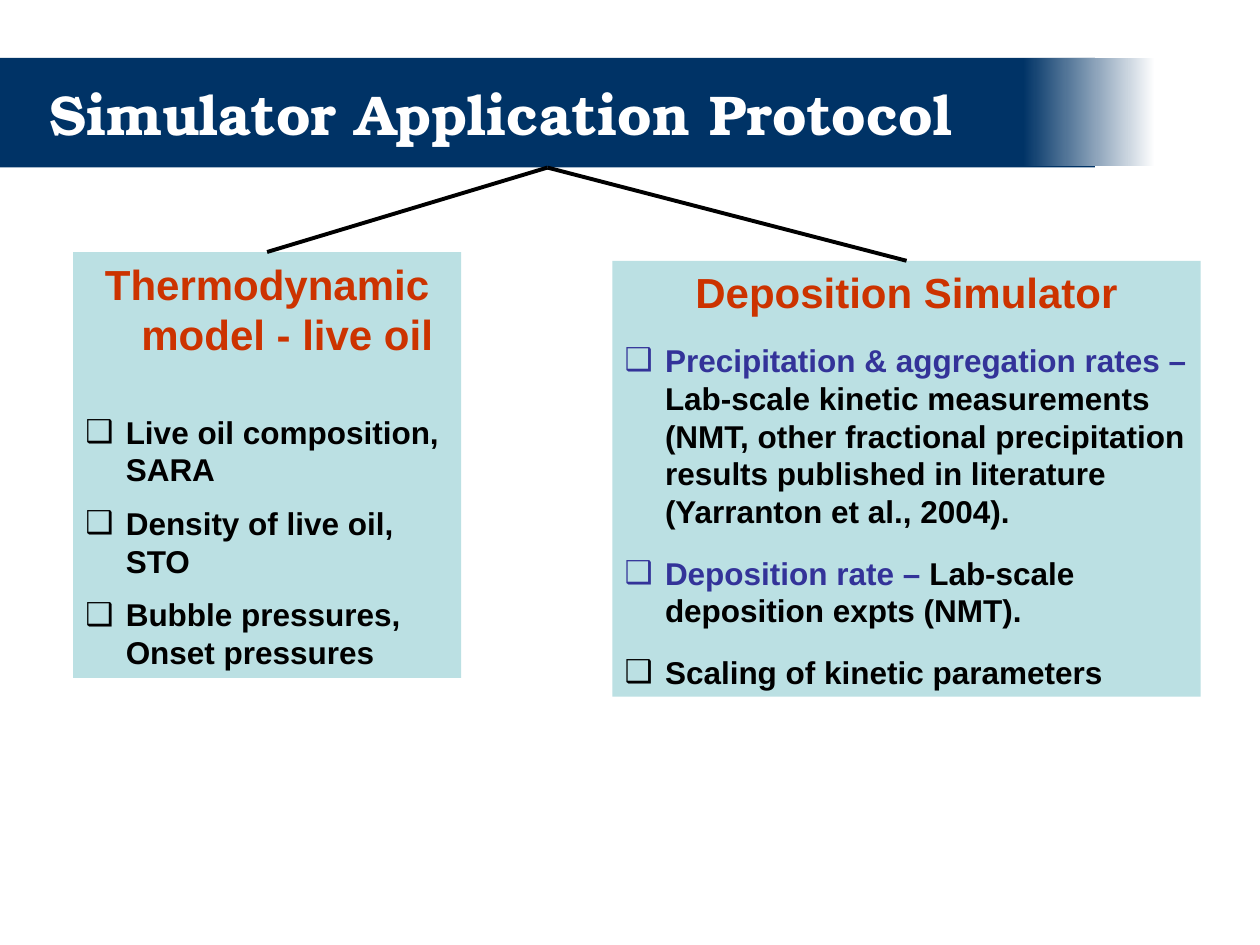
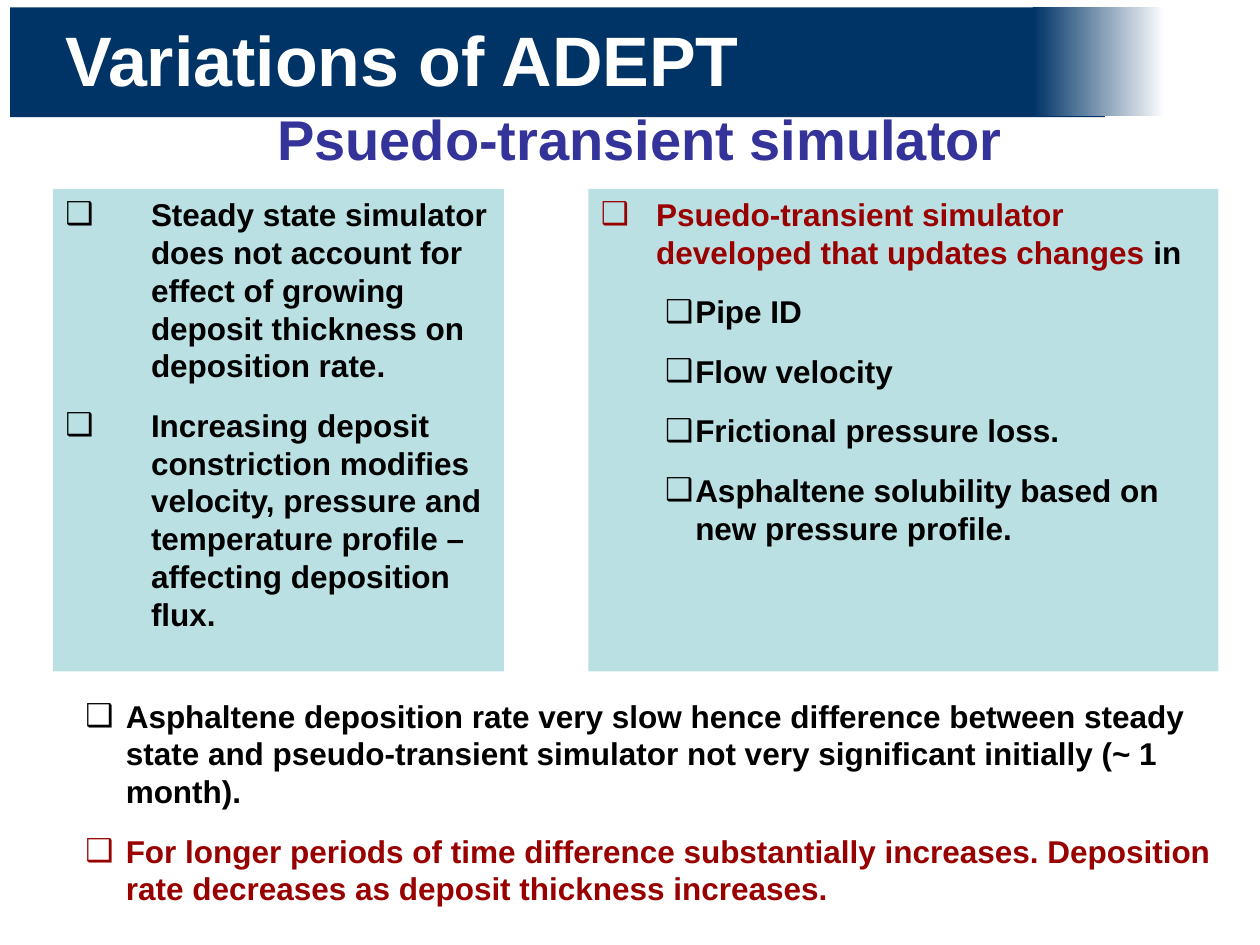
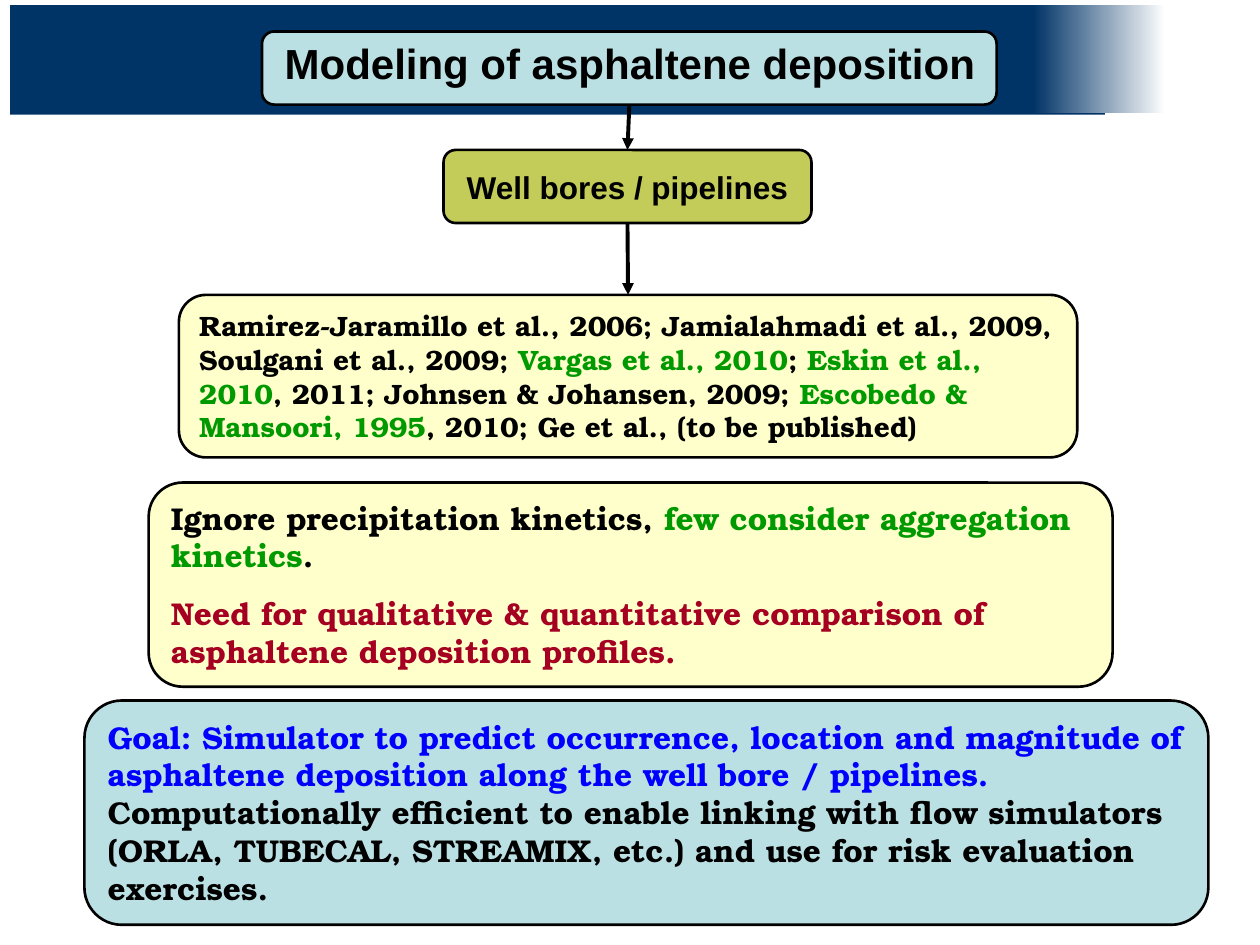
from lxml import etree
from pptx import Presentation
from pptx.dml.color import RGBColor
from pptx.enum.shapes import MSO_CONNECTOR, MSO_SHAPE
from pptx.enum.text import MSO_ANCHOR, MSO_AUTO_SIZE, PP_ALIGN
from pptx.oxml.ns import qn
from pptx.util import Inches, Pt

COLORS = {
    "navy": "003366", "white": "FFFFFF", "black": "000000", "aqua": "BBE0E3",
    "olive": "C3CB59", "cream": "FFFFCC", "indigo": "333399", "rust": "CC3300",
    "maroon": "990000", "crimson": "A50021", "green": "009900", "blue": "0000FF",
}
SANS, SERIF = "Arial", "TeX Gyre Bonum"
TOP, BOTTOM = 0, 2


def rgb(name):
    return RGBColor.from_string(COLORS[name])


def write(sp, text, size=18, color="black", font=SANS, align=PP_ALIGN.LEFT,
          before=0, left=0, hang=0, bullet=False):
    """Add a paragraph; text is a string or a list of (string, color) runs."""
    tf = sp.text_frame
    first = not tf.text
    p = tf.paragraphs[0] if first else tf.add_paragraph()
    p.alignment = align
    p.space_before = Pt(0 if first else before)
    pPr = p._p.get_or_add_pPr()
    pPr.set("marL", str(Inches(left)))
    pPr.set("indent", str(-Inches(hang)))
    if bullet:
        etree.SubElement(pPr, qn("a:buFont")).set("typeface", SANS)
        etree.SubElement(pPr, qn("a:buChar")).set("char", "❑")
    else:
        etree.SubElement(pPr, qn("a:buNone"))
    for words, run_color in [(text, color)] if isinstance(text, str) else text:
        r = p.add_run()
        r.text = words
        r.font.name, r.font.size, r.font.bold = font, Pt(size), True
        r.font.color.rgb = rgb(run_color)


class Deck:
    def __init__(self):
        self.prs = Presentation()
        self.prs.slide_width, self.prs.slide_height = Inches(10), Inches(7.5)
        self.s = None

    def slide(self, band_left, band_top):
        """Start a slide with its fading band and return the band."""
        self.s = self.prs.slides.add_slide(self.prs.slide_layouts[5])
        band = self.box(band_left, band_top, 8.69, 0.87, "navy")
        fade = self.box(band_left + 8.12, band_top, 1.05, 0.86, "navy")
        fade.fill.gradient()
        fade.fill.gradient_angle = 0
        for stop, name in zip(fade.fill.gradient_stops, ("navy", "white")):
            stop.color.rgb = rgb(name)
        return band

    def frame(self, sp, anchor=MSO_ANCHOR.TOP):
        tf = sp.text_frame
        tf.word_wrap, tf.auto_size = True, MSO_AUTO_SIZE.NONE
        tf.vertical_anchor = anchor
        tf.margin_left = tf.margin_right = Inches(0.1)
        tf.margin_top = tf.margin_bottom = Inches(0.05)

    def title(self, text, left, top, width, height, anchor=MSO_ANCHOR.TOP, **fmt):
        sp = self.s.shapes.title
        sp.left, sp.top = Inches(left), Inches(top)
        sp.width, sp.height = Inches(width), Inches(height)
        sp.element.getparent().append(sp.element)  # in front of the band
        self.frame(sp, anchor)
        write(sp, text, **fmt)

    def box(self, left, top, width, height, fill, rounded=False,
            anchor=MSO_ANCHOR.TOP):
        kind = MSO_SHAPE.ROUNDED_RECTANGLE if rounded else MSO_SHAPE.RECTANGLE
        sp = self.s.shapes.add_shape(kind, Inches(left), Inches(top),
                                     Inches(width), Inches(height))
        sp.shadow.inherit = False
        sp.fill.solid()
        sp.fill.fore_color.rgb = rgb(fill)
        if rounded:
            sp.line.color.rgb, sp.line.width = rgb("black"), Pt(1.5)
        else:
            sp.line.fill.background()
        self.frame(sp, anchor)
        return sp

    def text(self, left, top, width, height):
        sp = self.s.shapes.add_textbox(Inches(left), Inches(top),
                                       Inches(width), Inches(height))
        self.frame(sp)
        return sp

    def link(self, upper, lower, arrow=False):
        """Join the bottom of one box to the top of another."""
        cxn = self.s.shapes.add_connector(MSO_CONNECTOR.STRAIGHT, 0, 0, 0, 0)
        cxn.begin_connect(upper, BOTTOM)
        cxn.end_connect(lower, TOP)
        cxn.line.color.rgb, cxn.line.width = rgb("black"), Pt(2.25)
        if arrow:
            ln = cxn.line._get_or_add_ln()
            etree.SubElement(ln, qn("a:tailEnd")).set("type", "triangle")
        etree.SubElement(cxn.element.spPr, qn("a:effectLst"))


def protocol_slide(deck):
    band = deck.slide(0, 0.46)
    deck.title("Simulator Application Protocol", 0.29, 0.58, 7.56, 0.64,
               size=32, color="white", font=SERIF)
    heading = dict(size=24, color="rust", align=PP_ALIGN.CENTER, left=0.32, hang=0.32)
    item = dict(left=0.32, hang=0.32, bullet=True)

    model = deck.box(0.58, 2, 3.08, 3.38, "aqua")
    write(model, "Thermodynamic model - live oil", **heading)
    write(model, "Live oil composition, SARA", before=30.6, **item)
    for text in ("Density of live oil, STO", "Bubble pressures, Onset pressures"):
        write(model, text, before=9, **item)

    simulator = deck.box(4.86, 2.07, 4.67, 3.46, "aqua")
    write(simulator, "Deposition Simulator", **heading)
    for runs in (
        [("Precipitation & aggregation rates – ", "indigo"),
         ("Lab-scale kinetic measurements (NMT, other fractional precipitation "
          "results published in literature (Yarranton et al., 2004).", "black")],
        [("Deposition rate – ", "indigo"),
         ("Lab-scale deposition expts (NMT).", "black")],
        "Scaling of kinetic parameters",
    ):
        write(simulator, runs, before=13.5, **item)
    for target in (model, simulator):
        deck.link(band, target)


def variations_slide(deck):
    deck.slide(0.08, 0.06)
    deck.title("Psuedo-transient simulator", 0.58, 0.75, 9, 0.7, MSO_ANCHOR.MIDDLE,
               size=32, color="indigo", align=PP_ALIGN.CENTER)
    write(deck.text(0.42, 0.08, 6, 0.77), "Variations of ADEPT", size=40, color="white")
    item = dict(before=12.4, bullet=True)

    steady = deck.box(0.42, 1.5, 3.58, 3.83, "aqua")
    for text in (
        "Steady state simulator does not account for effect of growing deposit "
        "thickness on deposition rate.",
        "Increasing deposit constriction modifies velocity, pressure and "
        "temperature profile – affecting deposition flux.",
    ):
        write(steady, text, left=0.68, hang=0.68, **item)

    transient = deck.box(4.67, 1.5, 5, 3.83, "aqua")
    write(transient, [("Psuedo-transient simulator developed that updates changes", "maroon"),
                      (" in", "black")], left=0.44, hang=0.44, **item)
    for text in ("Pipe ID", "Flow velocity", "Frictional pressure loss.",
                 "Asphaltene solubility based on new pressure profile."):
        write(transient, text, left=0.75, hang=0.24, **item)

    remarks = deck.text(0.58, 5.48, 9.19, 1.77)
    for text, color in (
        ("Asphaltene deposition rate very slow hence difference between steady state "
         "and pseudo-transient simulator not very significant initially (~ 1 month).",
         "black"),
        ("For longer periods of time difference substantially increases. Deposition "
         "rate decreases as deposit thickness increases.", "maroon"),
    ):
        write(remarks, text, color=color, left=0.32, hang=0.32, **item)


def modeling_slide(deck):
    deck.slide(0.08, 0.04)
    topic = deck.box(2.08, 0.25, 5.83, 0.58, "aqua", rounded=True)
    deck.title("Modeling of asphaltene deposition", 2, 0.25, 6, 0.5,
               size=24, align=PP_ALIGN.CENTER)
    wells = deck.box(3.52, 1.19, 2.92, 0.58, "olive", rounded=True,
                     anchor=MSO_ANCHOR.MIDDLE)
    write(wells, "Well bores / pipelines", align=PP_ALIGN.CENTER)

    studies = deck.box(1.42, 2.34, 7.13, 1.29, "cream", rounded=True)
    write(studies, [
        ("Ramirez-Jaramillo et al., 2006; Jamialahmadi et al., 2009, "
         "Soulgani et al., 2009; ", "black"),
        ("Vargas et al., 2010", "green"), ("; ", "black"),
        ("Eskin et al., 2010", "green"),
        (", 2011; Johnsen & Johansen, 2009; ", "black"),
        ("Escobedo & Mansoori, 1995", "green"),
        (", 2010; Ge et al., (to be published)", "black"),
    ], size=16, font=SERIF)

    gaps = deck.box(1.18, 3.83, 7.65, 1.62, "cream", rounded=True)
    write(gaps, [("Ignore precipitation kinetics, ", "black"),
                 ("few consider aggregation kinetics", "green"), (".", "black")],
          font=SERIF)
    write(gaps, "Need for qualitative & quantitative comparison of asphaltene "
          "deposition profiles.", color="crimson", font=SERIF, before=11.2)

    goal = deck.box(0.67, 5.56, 8.92, 1.78, "aqua", rounded=True)
    write(goal, "Goal: Simulator to predict occurrence, location and magnitude of "
          "asphaltene deposition along the well bore / pipelines.",
          color="blue", font=SERIF)
    write(goal, "Computationally efficient to enable linking with flow simulators "
          "(ORLA, TUBECAL, STREAMIX, etc.) and use for risk evaluation exercises.",
          font=SERIF)
    deck.link(topic, wells, arrow=True)
    deck.link(wells, studies, arrow=True)


def main():
    deck = Deck()
    for build in (protocol_slide, variations_slide, modeling_slide):
        build(deck)
    deck.prs.save("out.pptx")


if __name__ == "__main__":
    main()
